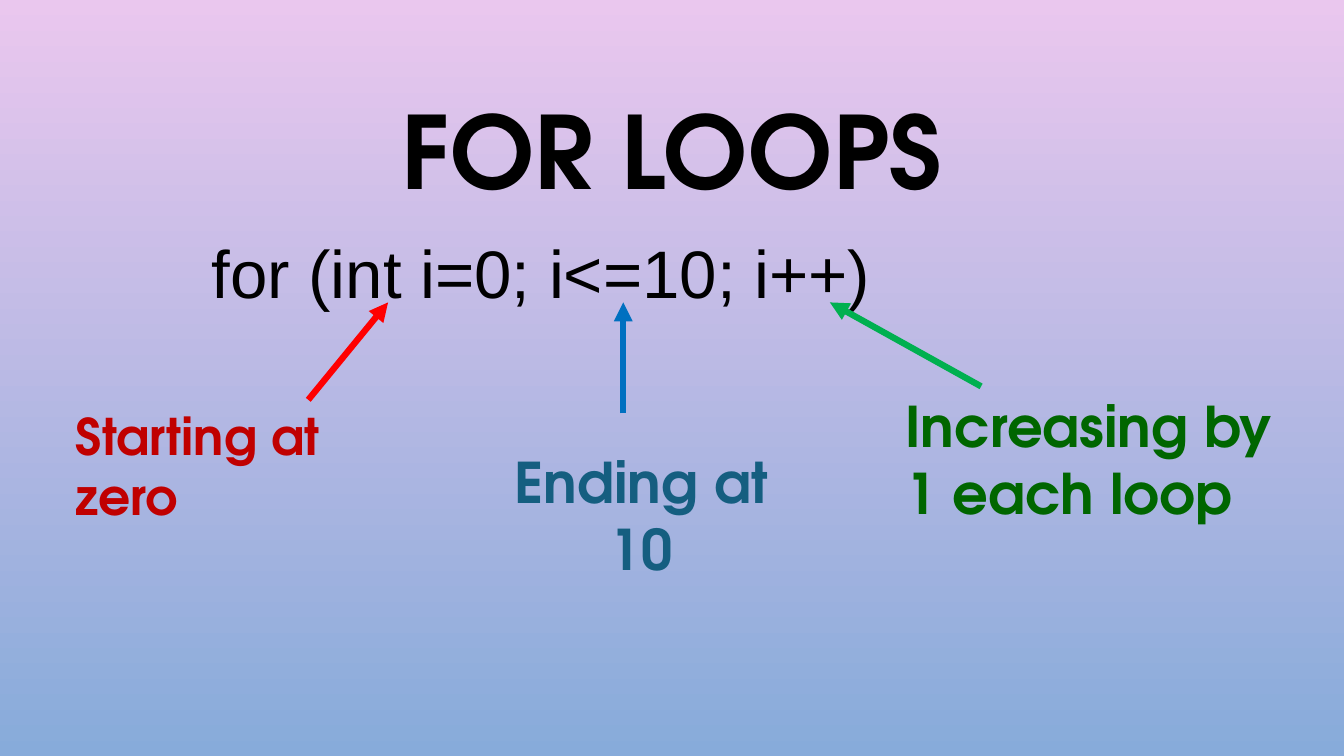
import dataclasses
import typing

import lxml.etree
import pptx
import pptx.dml.color
import pptx.enum.shapes
import pptx.enum.text
import pptx.oxml.ns
import pptx.slide
import pptx.util

RGBColor = pptx.dml.color.RGBColor
BLACK = RGBColor(0x00, 0x00, 0x00)
PINK = RGBColor(0xEA, 0xC7, 0xEE)
SKY = RGBColor(0x87, 0xAB, 0xDA)
RED = RGBColor(0xFF, 0x00, 0x00)
DARK_RED = RGBColor(0xC0, 0x00, 0x00)
BLUE = RGBColor(0x00, 0x70, 0xC0)
TEAL = RGBColor(0x15, 0x5E, 0x80)
GREEN = RGBColor(0x00, 0xB0, 0x50)
DARK_GREEN = RGBColor(0x00, 0x66, 0x00)

WIDTH = pptx.util.Inches(13.33)
HEIGHT = pptx.util.Inches(7.5)
COLUMNS, ROWS = 16, 9
HEADING_FONT = "TeX Gyre Adventor"
LEFT = pptx.enum.text.PP_ALIGN.LEFT
CENTER = pptx.enum.text.PP_ALIGN.CENTER
TOP = pptx.enum.text.MSO_ANCHOR.TOP
MIDDLE = pptx.enum.text.MSO_ANCHOR.MIDDLE


@dataclasses.dataclass(frozen=True)
class Caption:
    text: str
    column: float
    row: float
    columns: float
    rows: float
    size: int
    color: RGBColor
    font: str = HEADING_FONT
    bold: bool = True
    align: pptx.enum.text.PP_ALIGN = LEFT
    anchor: pptx.enum.text.MSO_ANCHOR = TOP
    spacing: float = 1.0
    indent: float = 0


@dataclasses.dataclass(frozen=True)
class Arrow:
    start: tuple[float, float]
    end: tuple[float, float]
    color: RGBColor


CAPTIONS = [
    Caption("FOR LOOPS", 1.2, 0.82, 13.6, 2.1, 72, BLACK,
            align=CENTER, anchor=MIDDLE, spacing=0.9),
    Caption("for (int i=0; i<=10; i++)", 1.2, 2.5, 13.82, 5.53, 48, BLACK,
            font="Arial", bold=False, spacing=1.2, indent=1.2),
    Caption("Starting at zero", 0.78, 4.76, 4.1, 0.85, 36, DARK_RED),
    Caption("Ending at 10", 5.71, 5.27, 3.85, 0.92, 40, TEAL, align=CENTER),
    Caption("Increasing by 1 each loop", 10.66, 4.6, 4.79, 1.74, 40, DARK_GREEN),
]

ARROWS = [
    Arrow((3.67, 4.76), (4.62, 3.6), RED),
    Arrow((7.42, 4.92), (7.42, 3.6), BLUE),
    Arrow((11.68, 4.6), (9.88, 3.6), GREEN),
]


def across(columns: float) -> int:
    return round(WIDTH * columns / COLUMNS)


def down(rows: float) -> int:
    return round(HEIGHT * rows / ROWS)


def apply_format(target: object, values: dict[str, typing.Any]) -> None:
    for name, value in values.items():
        setattr(target, name, value)


def paint_background(slide: pptx.slide.Slide) -> None:
    fill = slide.background.fill
    fill.gradient()
    fill.gradient_angle = 270
    for stop, color in zip(fill.gradient_stops, (PINK, SKY)):
        stop.color.rgb = color


def draw_caption(slide: pptx.slide.Slide, caption: Caption) -> None:
    frame = slide.shapes.add_textbox(
        across(caption.column), down(caption.row),
        across(caption.columns), down(caption.rows)).text_frame
    apply_format(frame, {"word_wrap": True, "vertical_anchor": caption.anchor})
    paragraph = frame.paragraphs[0]
    apply_format(paragraph, {"alignment": caption.align,
                             "line_spacing": caption.spacing})
    if caption.indent:
        paragraph._p.get_or_add_pPr().set("marL", str(across(caption.indent)))
    wording = paragraph.add_run()
    wording.text = caption.text
    apply_format(wording.font, {"name": caption.font, "bold": caption.bold,
                                "size": pptx.util.Pt(caption.size)})
    wording.font.color.rgb = caption.color


def draw_arrow(slide: pptx.slide.Slide, arrow: Arrow) -> None:
    pointer = slide.shapes.add_connector(
        pptx.enum.shapes.MSO_CONNECTOR.STRAIGHT,
        across(arrow.start[0]), down(arrow.start[1]),
        across(arrow.end[0]), down(arrow.end[1]))
    pointer.line.width = pptx.util.Pt(4.5)
    pointer.line.color.rgb = arrow.color
    lxml.etree.SubElement(pointer.line._get_or_add_ln(),
                          pptx.oxml.ns.qn("a:tailEnd"), type="triangle")
    lxml.etree.SubElement(pointer._element.spPr, pptx.oxml.ns.qn("a:effectLst"))


def main() -> None:
    deck = pptx.Presentation()
    apply_format(deck, {"slide_width": WIDTH, "slide_height": HEIGHT})
    slide = deck.slides.add_slide(deck.slide_layouts[6])
    paint_background(slide)
    for caption in CAPTIONS:
        draw_caption(slide, caption)
    for arrow in ARROWS:
        draw_arrow(slide, arrow)
    deck.save("out.pptx")


if __name__ == "__main__":
    main()
